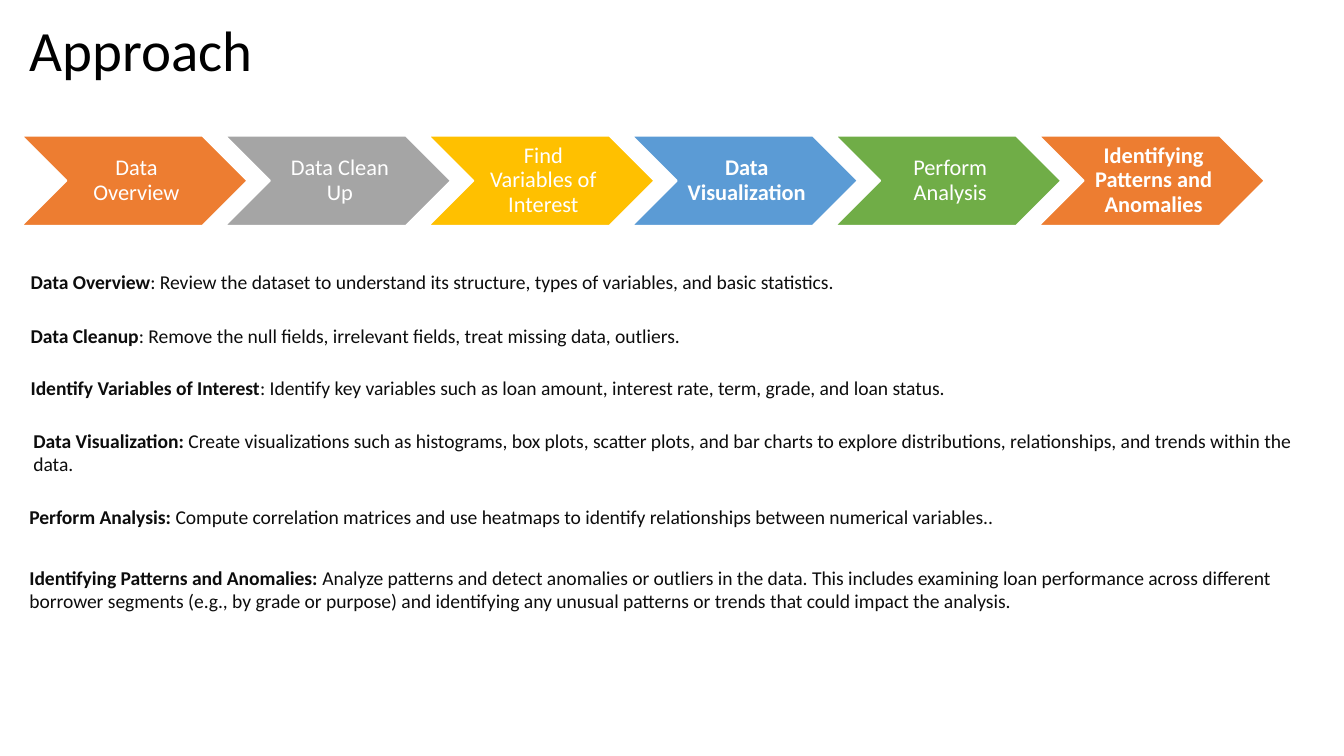
import dataclasses

import pptx
import pptx.dml.color
import pptx.enum.shapes
import pptx.enum.text
import pptx.util

Inches = pptx.util.Inches
Pt = pptx.util.Pt


@dataclasses.dataclass(frozen=True)
class Theme:
    font: str = "Calibri"
    title_size: float = 30.5
    step_size: float = 12
    detail_size: float = 10.5
    black: str = "000000"
    ink: str = "0D0D0D"
    white: str = "FFFFFF"
    accents: tuple = ("ED7D31", "A5A5A5", "FFC000", "5B9BD5", "70AD47")


THEME = Theme()

# Step label, bold
STEPS = [
    ("Data Overview", False),
    ("Data Clean Up", False),
    ("Find Variables of Interest", False),
    ("Data Visualization", True),
    ("Perform Analysis", False),
    ("Identifying Patterns and Anomalies", True),
]

# Box (left, top, width, height), bold lead, explanation
DETAILS = [
    ((0.13, 1.96, 9.57, 0.28), "Data Overview",
     ": Review the dataset to understand its structure, types of variables, and basic statistics."),
    ((0.13, 2.36, 9.57, 0.28), "Data Cleanup",
     ": Remove the null fields, irrelevant fields, treat missing data, outliers."),
    ((0.13, 2.75, 9.57, 0.28), "Identify Variables of Interest",
     ": Identify key variables such as loan amount, interest rate, term, grade, and loan status."),
    ((0.15, 3.14, 9.78, 0.45), "Data Visualization: ",
     "Create visualizations such as histograms, box plots, scatter plots, and bar charts to explore "
     "distributions, relationships, and trends within the data."),
    ((0.12, 3.71, 9.58, 0.28), "Perform Analysis:",
     " Compute correlation matrices and use heatmaps to identify relationships between numerical variables.."),
    ((0.12, 4.16, 9.58, 0.45), "Identifying Patterns and Anomalies: ",
     "Analyze patterns and detect anomalies or outliers in the data. This includes examining loan "
     "performance across different borrower segments (e.g., by grade or purpose) and identifying any "
     "unusual patterns or trends that could impact the analysis."),
]


def rgb(color):
    return pptx.dml.color.RGBColor.from_string(color)


def add_run(paragraph, text, size, color, bold=False):
    run = paragraph.add_run()
    run.text = text
    run.font.name = THEME.font
    run.font.size = Pt(size)
    run.font.bold = bold
    run.font.color.rgb = rgb(color)


def place_title(slide, box, text):
    title = slide.shapes.title
    title.left, title.top, title.width, title.height = map(Inches, box)
    frame = title.text_frame
    frame.auto_size = pptx.enum.text.MSO_AUTO_SIZE.NONE
    frame.vertical_anchor = pptx.enum.text.MSO_ANCHOR.MIDDLE
    heading = frame.paragraphs[0]
    heading.alignment = pptx.enum.text.PP_ALIGN.LEFT
    heading.line_spacing = 0.7
    add_run(heading, text, THEME.title_size, THEME.black)


def add_process(slide, box, steps):
    """Fill the box with chevrons that overlap by a tenth of their width."""
    left, top, width, height = box
    step_width = width / (1 + 0.9 * (len(steps) - 1))
    for index, (label, bold) in enumerate(steps):
        chevron = slide.shapes.add_shape(
            pptx.enum.shapes.MSO_SHAPE.CHEVRON,
            Inches(left + 0.9 * step_width * index), Inches(top),
            Inches(step_width), Inches(height))
        chevron.shadow.inherit = False
        chevron.fill.solid()
        chevron.fill.fore_color.rgb = rgb(THEME.accents[index % len(THEME.accents)])
        chevron.line.color.rgb = rgb(THEME.white)
        chevron.line.width = Pt(1)

        frame = chevron.text_frame
        frame.word_wrap = True
        frame.vertical_anchor = pptx.enum.text.MSO_ANCHOR.MIDDLE
        frame.margin_left = Inches(0.05)
        frame.margin_right = frame.margin_top = frame.margin_bottom = Inches(0.02)
        caption = frame.paragraphs[0]
        caption.alignment = pptx.enum.text.PP_ALIGN.CENTER
        caption.line_spacing = 0.9
        add_run(caption, label, THEME.step_size, THEME.white, bold)


def add_detail(slide, box, lead, explanation):
    detail = slide.shapes.add_textbox(*map(Inches, box))
    frame = detail.text_frame
    frame.word_wrap = True
    frame.auto_size = pptx.enum.text.MSO_AUTO_SIZE.SHAPE_TO_FIT_TEXT
    paragraph = frame.paragraphs[0]
    add_run(paragraph, lead, THEME.detail_size, THEME.ink, bold=True)
    add_run(paragraph, explanation, THEME.detail_size, THEME.ink)


def main():
    deck = pptx.Presentation()
    deck.slide_width = Inches(10)
    deck.slide_height = deck.slide_width * 9 // 16
    title_only = deck.slide_layouts[5]
    slide = deck.slides.add_slide(title_only)
    place_title(slide, (0.12, 0.17, 9.45, 0.51), "Approach")
    add_process(slide, (0.16, 1.01, 9.25, 0.67), STEPS)
    for box, lead, explanation in DETAILS:
        add_detail(slide, box, lead, explanation)
    deck.save("out.pptx")


if __name__ == "__main__":
    main()
